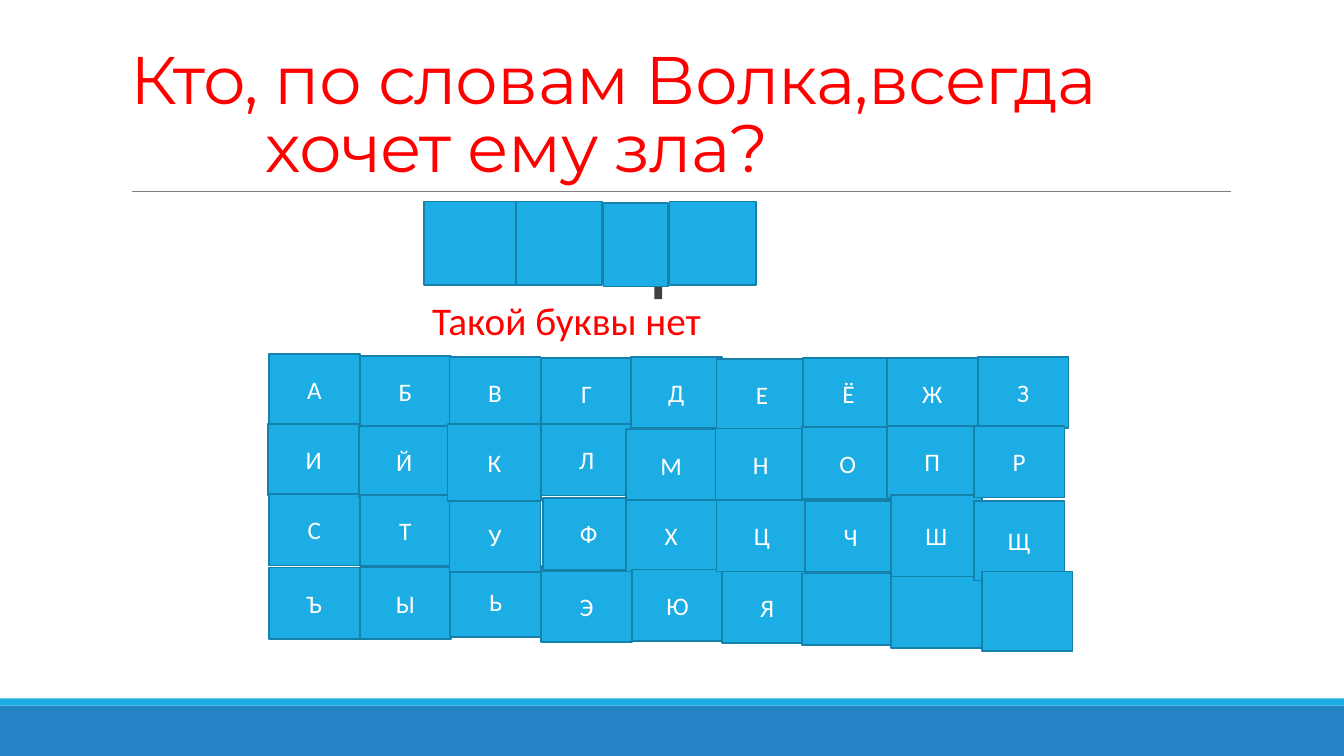
from lxml.etree import SubElement
from pptx import Presentation
from pptx.dml.color import RGBColor
from pptx.enum.shapes import MSO_CONNECTOR, MSO_SHAPE
from pptx.enum.text import MSO_ANCHOR, PP_ALIGN
from pptx.oxml.ns import qn
from pptx.util import Cm, Pt

SKY, BLUE, EDGE = "1CADE4", "2683C6", "1580A9"
RED, DARK, GREY, WHITE = "FF0000", "404040", "808080", "FFFFFF"

TITLE = ["Кто, по словам Волка,всегда", "хочет ему зла?"]
MISS = "Такой буквы нет"

# left, top, width, height in cm
BANDS = [(BLUE, (0, 17.78, 33.87, 1.27)), (SKY, (0, 17.6, 33.87, 0.18))]
TAIL = (16.49, 7.22, 0.2, 0.32)
COVERS = [
    (10.69, 5.08, 2.44, 2.11),
    (13, 5.08, 2.18, 2.11),
    (15.21, 5.11, 1.63, 2.11),
    (16.87, 5.08, 2.18, 2.11),
]

# each column of keys: letters, lefts, tops
KEYS = [
    ("АИСЪ", (6.78, 6.76, 6.78, 6.78), (8.92, 10.69, 12.45, 14.3)),
    ("БЙТЫ", (9.07, 9.04, 9.07, 9.07), (8.97, 10.74, 12.47, 14.3)),
    ("ВКЬУ", (11.33, 11.28, 11.35, 11.33), (8.99, 10.69, 14.25, 12.62)),
    ("ГЛФЭ", (13.64, 13.64, 13.69, 13.64), (9.02, 10.69, 12.55, 14.38)),
    ("ДМХЮ", (15.9, 15.77, 15.77, 15.93), (8.99, 10.82, 12.6, 14.35)),
    ("ЕНЦЯ", (18.06, 18.03, 18.06, 18.19), (9.04, 10.8, 12.6, 14.4)),
    ("ЁОЧ", (20.24, 20.22, 20.29), (9.02, 10.77, 12.62)),
    ("ЖПШ", (22.35, 22.35, 22.45), (9.02, 10.74, 12.47)),
    ("ЗРЩ", (24.64, 24.54, 24.54), (8.99, 10.74, 12.62)),
]
KEY = (2.29, 1.8)
SIZES = {"К": (2.36, 1.93), "Ш": (2.29, 2.06), "Щ": (2.29, 2.01)}
# keys without a letter, by the letter they follow
BLANKS = {
    "Ч": (20.22, 14.45, 2.29, 1.8),
    "Ш": (22.45, 14.53, 2.29, 1.8),
    "Щ": (24.74, 14.4, 2.29, 2.01),
}

deck = Presentation()
deck.slide_width, deck.slide_height = Cm(33.87), Cm(19.05)
slide = deck.slides.add_slide(deck.slide_layouts[6])
shapes = slide.shapes


def color(code):
    return RGBColor.from_string(code)


def place(box):
    return [Cm(n) for n in box]


def write(shape, lines, size, tint, font="Calibri", align=PP_ALIGN.LEFT,
          anchor=MSO_ANCHOR.TOP, space=None):
    """Fill a shape with one paragraph per line and return the paragraphs."""
    frame = shape.text_frame
    frame.word_wrap = True
    frame.vertical_anchor = anchor
    frame.text = "\n".join(lines)
    for para in frame.paragraphs:
        para.alignment = align
        if space:
            para.line_spacing = space
        face = para.runs[0].font
        face.name, face.size = font, Pt(size)
        face.color.rgb = color(tint)
    return frame.paragraphs


def block(box, fill, edge=None):
    """Add a plain rectangle, outlined only if an edge colour is given."""
    rect = shapes.add_shape(MSO_SHAPE.RECTANGLE, *place(box))
    rect.shadow.inherit = False
    rect.fill.solid()
    rect.fill.fore_color.rgb = color(fill)
    if edge:
        rect.line.color.rgb = color(edge)
        rect.line.width = Pt(1.25)
    else:
        rect.line.fill.background()
    return rect


def label(box, lines, size, tint, **style):
    return write(shapes.add_textbox(*place(box)), lines, size, tint, **style)


def draw_frame():
    for fill, box in BANDS:
        block(box, fill)
    rule = shapes.add_connector(MSO_CONNECTOR.STRAIGHT,
                                *place((3.33, 4.83, 31.01, 4.83)))
    rule.line.color.rgb = color(GREY)
    rule.line.width = Pt(0.5)
    SubElement(rule._element.spPr, qn("a:effectLst"))


def draw_title():
    paras = label((3.05, 0.79, 27.94, 4.04), TITLE, 48, RED,
                  font="Montserrat", anchor=MSO_ANCHOR.BOTTOM, space=0.85)
    for para in paras:
        para.runs[0].font._element.set("spc", "-50")
    paras[1]._p.get_or_add_pPr().set("marL", str(Cm(3.4)))


def draw_covers():
    block(TAIL, DARK)
    for box in COVERS:
        block(box, SKY, EDGE)


def draw_keys():
    for column in KEYS:
        for letter, left, top in zip(*column):
            size = SIZES.get(letter, KEY)
            key = block((left, top, *size), SKY, EDGE)
            write(key, [letter], 18, WHITE, align=PP_ALIGN.CENTER,
                  anchor=MSO_ANCHOR.MIDDLE)
            if letter in BLANKS:
                block(BLANKS[letter], SKY, EDGE)


draw_frame()
draw_title()
draw_covers()
draw_keys()
label((10.64, 7.34, 9.17, 1.45), [MISS], 28, RED)
deck.save("out.pptx")
